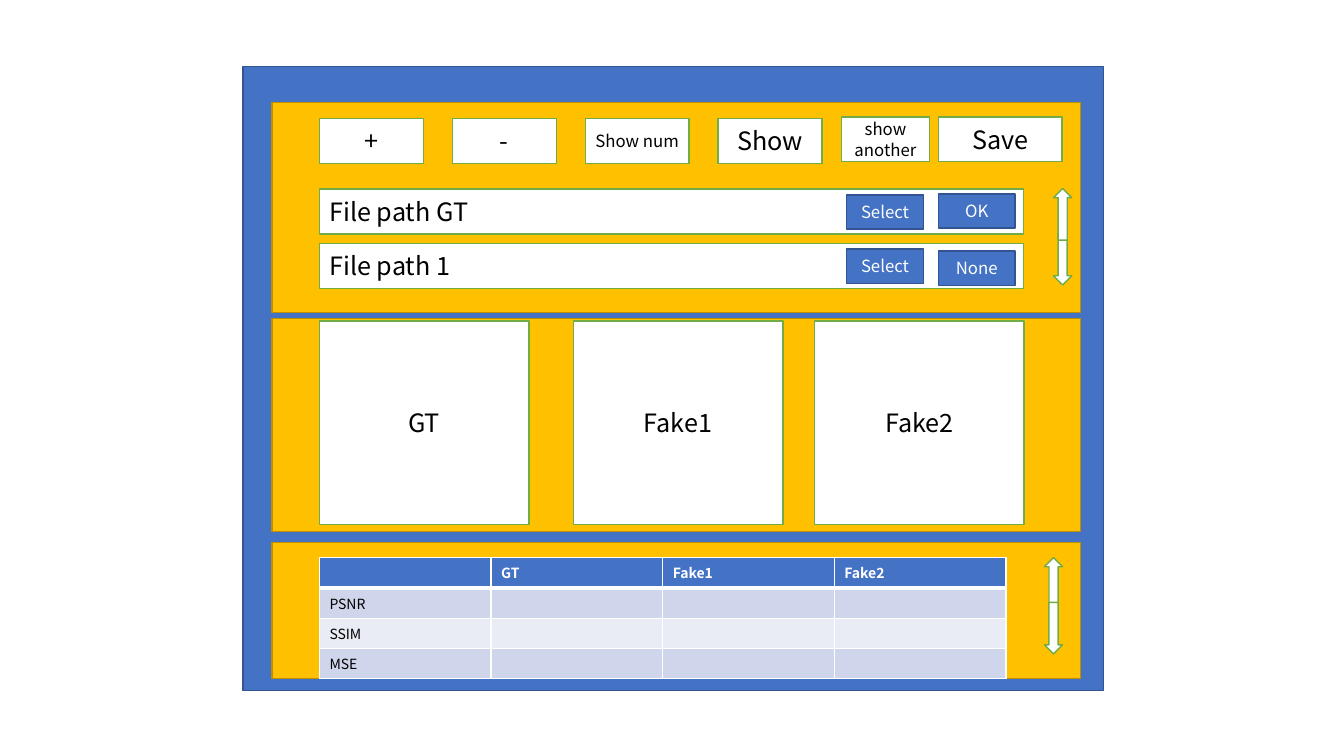
import dataclasses

import lxml.etree
import pptx
import pptx.dml.color
import pptx.enum.shapes
import pptx.enum.text
import pptx.oxml.ns
import pptx.util

Cm = pptx.util.Cm
SHAPES = pptx.enum.shapes.MSO_SHAPE
ALIGN = pptx.enum.text.PP_ALIGN
MIDDLE = pptx.enum.text.MSO_ANCHOR.MIDDLE


@dataclasses.dataclass(frozen=True)
class Theme:
    """Colours, font and type sizes of the slide."""

    font: str = "Noto Sans CJK JP"
    white: str = "FFFFFF"
    black: str = "000000"
    blue: str = "4472C4"
    navy: str = "325491"
    amber: str = "FFC000"
    brown: str = "BD8E00"
    green: str = "70AD47"
    bands: tuple = ("CFD5EA", "E9EBF5")
    large: int = 18
    medium: int = 12
    small: int = 10


THEME = Theme()
WINDOW = (THEME.blue, THEME.navy)
PANEL = (THEME.amber, THEME.brown)
FIELD = (THEME.white, THEME.green)
INDENT = 1.19
RIGHT_BUTTON = 16.79


def rgb(value):
    """Return a colour from its hexadecimal value."""
    return pptx.dml.color.RGBColor.from_string(value)


def write_text(frame, text, size=THEME.large, color=THEME.black, bold=False,
               align=ALIGN.CENTER):
    """Write each line of text as one formatted paragraph, sizing empty ones too."""
    for index, line in enumerate(text.split("\n")):
        paragraph = frame.add_paragraph() if index else frame.paragraphs[0]
        paragraph.alignment = align
        if not line:
            lxml.etree.SubElement(paragraph._p, pptx.oxml.ns.qn("a:endParaRPr"), sz=str(size * 100))
            continue
        run = paragraph.add_run()
        run.text = line
        run.font.name = THEME.font
        run.font.size = pptx.util.Pt(size)
        run.font.bold = bold
        run.font.color.rgb = rgb(color)


def add_box(slide, box, colors, text="", kind=SHAPES.RECTANGLE, margin=0.2, **text_format):
    """Add a filled and outlined shape, with text if given."""
    shape = slide.shapes.add_shape(kind, *map(Cm, box))
    shape.shadow.inherit = False
    fill, line = colors
    shape.fill.solid()
    shape.fill.fore_color.rgb = rgb(fill)
    shape.line.color.rgb = rgb(line)
    shape.line.width = pptx.util.Pt(1)
    if text:
        frame = shape.text_frame
        frame.word_wrap = True
        frame.vertical_anchor = MIDDLE
        frame.margin_left = frame.margin_right = Cm(margin)
        write_text(frame, text, **text_format)
    return shape


def add_scroll_arrows(slide, left, top, rotations):
    """Add an up and a down arrow, in the given stacking order."""
    for rotation in rotations:
        arrow_top = top if rotation else top + 1.13
        arrow = add_box(slide, (left, arrow_top, 0.46, 1.3), FIELD, kind=SHAPES.DOWN_ARROW)
        arrow.rotation = rotation


def add_controls(slide, box):
    """Add the panel with the toolbar and the file paths."""
    left, top = box[:2]
    add_box(slide, box, PANEL)
    tools = (("+", THEME.large), ("-", THEME.large),
             ("Show num", THEME.medium), ("Show", THEME.large))
    for index, (label, size) in enumerate(tools):
        tool_left = left + INDENT + 3.35 * index
        add_box(slide, (tool_left, top + 0.39, 2.62, 1.14), FIELD, label, size=size)
    add_box(slide, (left + 14.35, top + 0.36, 2.21, 1.12), FIELD, "show\nanother",
            size=THEME.medium)
    add_box(slide, (left + RIGHT_BUTTON, top + 0.36, 3.12, 1.12), FIELD, "Save")
    paths = (("File path GT", "OK", 0.13), ("File path 1", "None", 0.2))
    for index, (label, status, status_offset) in enumerate(paths):
        path_top = top + 2.17 + 1.37 * index
        add_box(slide, (left + INDENT, path_top, 17.75, 1.14), FIELD, label,
                margin=0.25, align=ALIGN.LEFT)
        buttons = (("Select", 14.48, 0.15), (status, RIGHT_BUTTON, status_offset))
        for button, offset, drop in buttons:
            add_box(slide, (left + offset, path_top + drop, 1.93, 0.86), WINDOW, button,
                    size=THEME.medium, color=THEME.white)
    add_scroll_arrows(slide, left + 19.69, top + 2.16, (0, 180))


def add_previews(slide, box):
    """Add the panel with the three image areas."""
    left, top = box[:2]
    add_box(slide, box, PANEL)
    for label, offset in (("GT", INDENT), ("Fake1", 7.59), ("Fake2", 13.67)):
        add_box(slide, (left + offset, top + 0.07, 5.28, 5.13), FIELD, label)


def set_borders(cell, top, bottom):
    """Give a cell white borders of the given widths in points."""
    properties = cell._tc.get_or_add_tcPr()
    widths = (("lnL", 1), ("lnR", 1), ("lnT", top), ("lnB", bottom))
    for index, (side, width) in enumerate(widths):
        line = lxml.etree.Element(pptx.oxml.ns.qn("a:" + side), w=str(pptx.util.Pt(width)))
        fill = lxml.etree.SubElement(line, pptx.oxml.ns.qn("a:solidFill"))
        lxml.etree.SubElement(fill, pptx.oxml.ns.qn("a:srgbClr"), val=THEME.white)
        properties.insert(index, line)


def add_metrics(slide, box):
    """Add the panel with the table of metrics."""
    left, top = box[:2]
    add_box(slide, box, PANEL)
    rows = (("", "GT", "Fake1", "Fake2"), ("PSNR", "", "", ""),
            ("SSIM", "", "", ""), ("MSE", "", "", ""))
    table_box = (left + INDENT, top + 0.38, 17.3, 3.04)
    table = slide.shapes.add_table(len(rows), len(rows[0]), *map(Cm, table_box)).table
    table.first_row = table.horz_banding = False
    for row_index, labels in enumerate(rows):
        header = row_index == 0
        table.rows[row_index].height = Cm(0.76)
        for column_index, label in enumerate(labels):
            cell = table.cell(row_index, column_index)
            cell.fill.solid()
            cell.fill.fore_color.rgb = rgb(THEME.blue if header else THEME.bands[(row_index - 1) % 2])
            set_borders(cell, top=3 if row_index == 1 else 1, bottom=3 if header else 1)
            write_text(cell.text_frame, label, size=THEME.small, bold=header, align=ALIGN.LEFT,
                       color=THEME.white if header else THEME.black)
    add_scroll_arrows(slide, left + 19.46, top + 0.38, (180, 0))


def add_window(slide, box):
    """Add the application window and its three panels."""
    left, top = box[:2]
    add_box(slide, box, WINDOW)
    panels = ((add_metrics, 11.99, 3.43), (add_previews, 6.34, 5.37), (add_controls, 0.91, 5.29))
    for add_panel, offset, height in panels:
        add_panel(slide, (left + 0.74, top + offset, 20.37, height))


def main():
    """Build and save the presentation."""
    presentation = pptx.Presentation()
    presentation.slide_width = Cm(33.87)
    presentation.slide_height = Cm(19.05)
    slide = presentation.slides.add_slide(presentation.slide_layouts[6])
    add_window(slide, (6.12, 1.68, 21.69, 15.72))
    presentation.save("out.pptx")


main()
